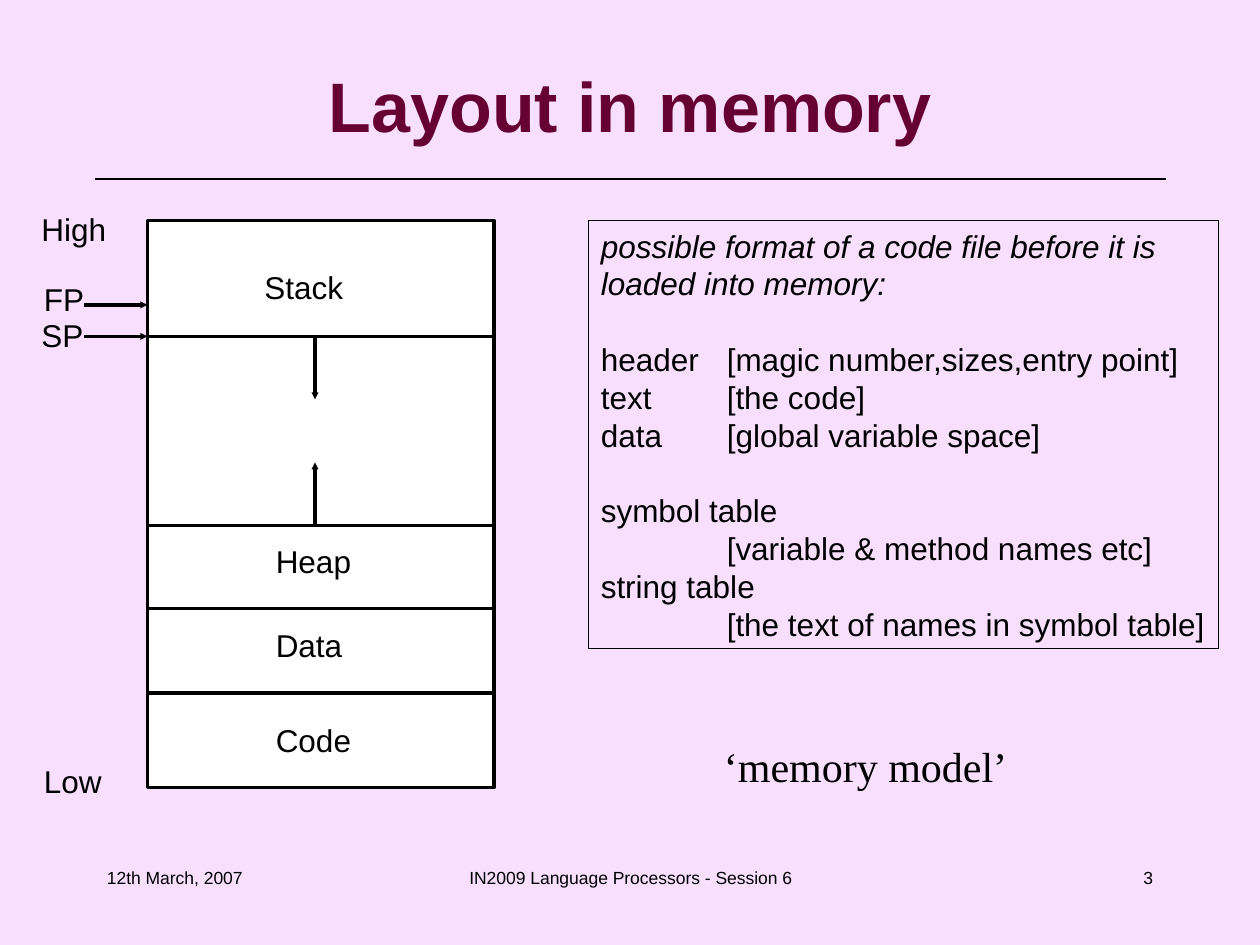
from pptx import Presentation
from pptx.dml.color import RGBColor
from pptx.enum.shapes import MSO_CONNECTOR as Connector, MSO_SHAPE as Shape
from pptx.enum.text import MSO_ANCHOR as Anchor, MSO_AUTO_SIZE as AutoSize, PP_ALIGN as Align
from pptx.oxml.ns import qn
from pptx.util import Inches, Pt
from lxml.etree import SubElement


def color(hex_code):
    """Turn a hex string into a colour."""
    return RGBColor.from_string(hex_code)


class SlideBuilder:
    """Hold the slide style and draw each kind of element."""

    BACKGROUND, INK, ACCENT, PAPER = "F7DFFD", "000000", "660033", "FFFFFF"
    FONT, SERIF = "Arial", "Times New Roman"
    BODY, LINE_HEIGHT, STROKE = 18, 21.6, 2

    def __init__(self, slide):
        """Take the slide and paint its background."""
        self.slide = slide
        slide.background.fill.solid()
        slide.background.fill.fore_color.rgb = color(self.BACKGROUND)

    def style(self, paragraph, size=BODY, font=FONT, ink=INK, bold=False, italic=False):
        """Format every run of a paragraph."""
        for run in paragraph.runs:
            run.font.size, run.font.name = Pt(size), font
            run.font.bold, run.font.italic = bold, italic
            run.font.color.rgb = color(ink)

    def text(self, words, left, top, width, height, align=Align.LEFT,
             anchor=Anchor.TOP, wrap=True, fit=AutoSize.NONE, **style):
        """Add a one-paragraph text box."""
        box = self.slide.shapes.add_textbox(*map(Inches, (left, top, width, height)))
        frame = box.text_frame
        frame.word_wrap, frame.vertical_anchor, frame.auto_size = wrap, anchor, fit
        frame.text = words
        frame.paragraphs[0].alignment = align
        self.style(frame.paragraphs[0], **style)

    def label(self, words, left, top, width):
        """Add a single-line label that fits its words."""
        self.text(words, left, top, width, 0.4, wrap=False,
                  fit=AutoSize.SHAPE_TO_FIT_TEXT)

    def rectangle(self, left, top, width, height, stroke, fill=None):
        """Add an outlined rectangle."""
        box = self.slide.shapes.add_shape(
            Shape.RECTANGLE, *map(Inches, (left, top, width, height)))
        box.shadow.inherit = False
        if fill:
            box.fill.solid()
            box.fill.fore_color.rgb = color(fill)
        else:
            box.fill.background()
        box.line.color.rgb = color(self.INK)
        box.line.width = Pt(stroke)
        return box

    def line(self, x1, y1, x2, y2, stroke=STROKE, arrow=False):
        """Add a straight line, with a small arrowhead at its end if asked."""
        rule = self.slide.shapes.add_connector(
            Connector.STRAIGHT, *map(Inches, (x1, y1, x2, y2)))
        rule.line.color.rgb = color(self.INK)
        rule.line.width = Pt(stroke)
        if arrow:
            SubElement(rule.line._get_or_add_ln(), qn("a:tailEnd"),
                       type="triangle", w="sm", len="sm")
        SubElement(rule._element.spPr, qn("a:effectLst"))

    def listing(self, groups, left, top, width, height):
        """Add a framed list of line groups, the first group in italics."""
        frame = self.rectangle(left, top, width, height, 0.5).text_frame
        frame.word_wrap, frame.vertical_anchor = True, Anchor.TOP
        frame.auto_size = AutoSize.SHAPE_TO_FIT_TEXT
        frame.text = "\n".join(line for group in groups for line in group)
        paragraphs = iter(frame.paragraphs)
        for number, group in enumerate(groups):
            for position, paragraph in zip(range(len(group)), paragraphs):
                tabs = SubElement(paragraph._p.get_or_add_pPr(), qn("a:tabLst"))
                SubElement(tabs, qn("a:tab"), pos=str(Inches(1)), algn="l")
                paragraph.alignment = Align.LEFT
                if number and position == 0:
                    paragraph.space_before = Pt(self.LINE_HEIGHT)
                self.style(paragraph, italic=number == 0)


def main():
    """Build the memory layout slide."""
    deck = Presentation()
    deck.slide_width, deck.slide_height = Inches(10), Inches(7.5)
    builder = SlideBuilder(deck.slides.add_slide(deck.slide_layouts[6]))

    builder.line(0.75, 1.42, 9.25, 1.42, stroke=0.75)
    builder.text("Layout in memory", 0.5, 0.33, 9, 1, Align.CENTER, Anchor.MIDDLE,
                 size=40, ink=builder.ACCENT, bold=True)

    memory_left, memory_right, growth_x = 1.17, 3.92, 2.5
    stack_end, heap_start = 2.67, 4.17
    builder.rectangle(memory_left, 1.75, memory_right - memory_left, 4.5,
                      builder.STROKE, builder.PAPER)
    for border in (stack_end, heap_start, 4.83, 5.5):
        builder.line(memory_left, border, memory_right, border)
    for segment, left, top, width in (
            ("Stack", 2, 2.08, 0.84), ("Heap", 2.09, 4.25, 0.82),
            ("Data", 2.09, 4.92, 0.75), ("Code", 2.09, 5.67, 0.82),
            ("High", 0.23, 1.62, 0.73), ("Low", 0.25, 6, 0.68),
            ("FP", 0.25, 2.17, 0.54), ("SP", 0.23, 2.46, 0.55)):
        builder.label(segment, left, top, width)
    for start, growth in ((stack_end, 0.5), (heap_start, -0.5)):
        builder.line(growth_x, start, growth_x, start + growth, arrow=True)
    for pointer in (2.42, stack_end):
        builder.line(memory_left - 0.5, pointer, memory_left, pointer, arrow=True)

    builder.listing((
        ("possible format of a code file before it is loaded into memory:",),
        ("header\t[magic number,sizes,entry point]",
         "text\t[the code]",
         "data\t[global variable space]"),
        ("symbol table",
         "\t[variable & method names etc]",
         "string table",
         "\t[the text of names in symbol table]"),
    ), 4.67, 1.75, 5, 3.4)
    builder.text("‘memory model’", 5.33, 5.83, 3.08, 0.5, Align.CENTER,
                 size=24, font=builder.SERIF)

    for note, left, width, align in (
            ("12th March, 2007", 0.75, 2.08, Align.LEFT),
            ("IN2009 Language Processors - Session 6", 3.42, 3.17, Align.CENTER),
            ("3", 7.17, 2.08, Align.RIGHT)):
        builder.text(note, left, 6.83, width, 0.5, align, size=10)

    deck.save("out.pptx")


if __name__ == "__main__":
    main()
